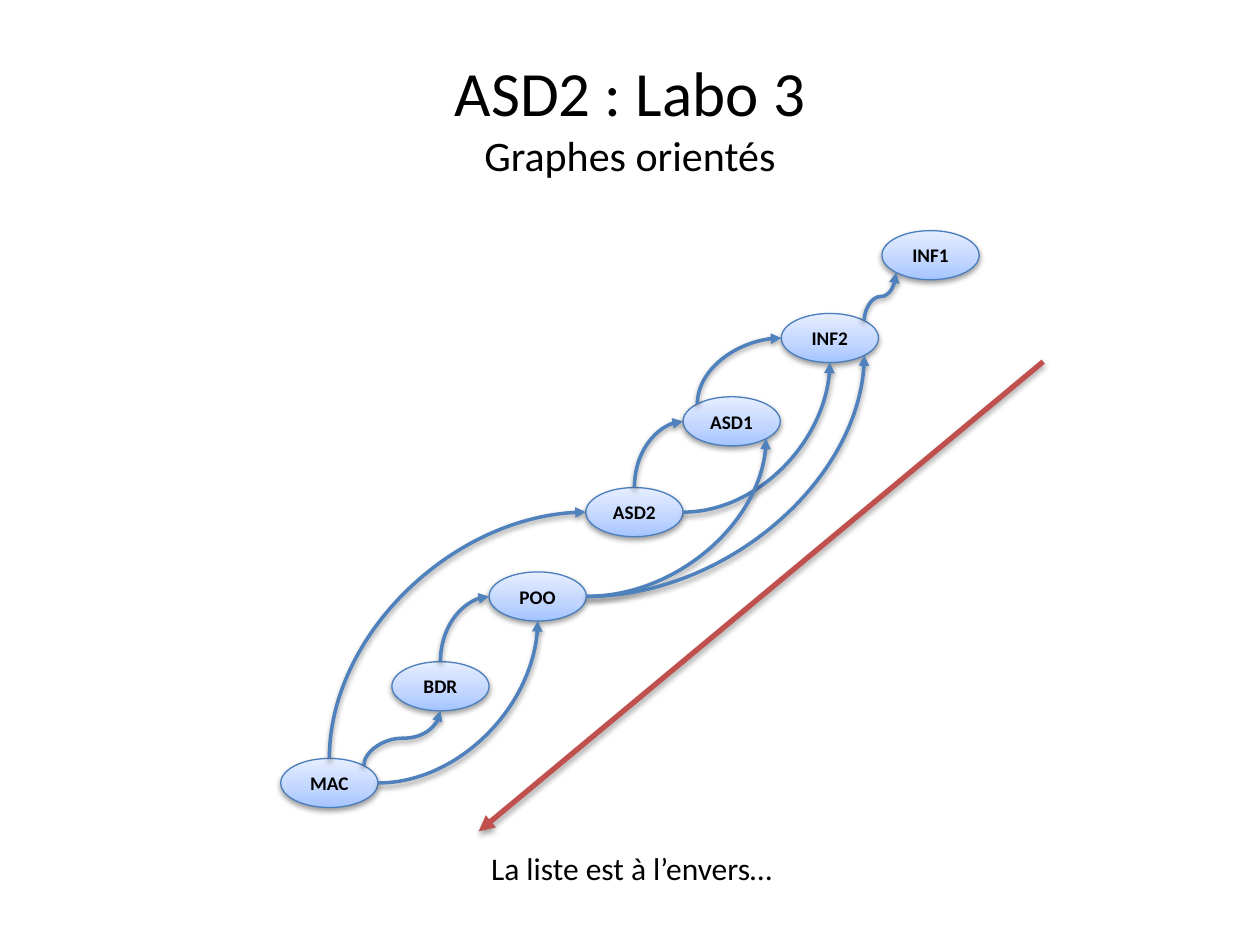
import math

import pptx
import pptx.dml.color
import pptx.enum.shapes
import pptx.enum.text
import pptx.oxml
import pptx.oxml.ns
import pptx.util
from lxml import etree

Cm, Pt = pptx.util.Cm, pptx.util.Pt
KIND = pptx.enum.shapes.MSO_CONNECTOR
qn = pptx.oxml.ns.qn

THEME = {
    "font": "Calibri", "text": "000000",
    "edge": "4F81BD", "rim": "4B7EBC", "order": "C0504D",
    "grad": [(0, "A4C4FF"), (35, "BFD4FF"), (100, "E6EEFF")],
    "title": 36, "sub": 24, "note": 18, "node": 11,
}

# Content: node corners in cm; edges as (from, site, to, site).
# Sites run counter-clockwise from the top of an ellipse in 45 degree steps.
TITLE = [("ASD2 : Labo 3", "title"), ("Graphes orientés", "sub")]
NOTE = "La liste est à l’envers…"
WIDE, HIGH = 1.96, 0.99
NODES = {
    "ASD1": (13.77, 8.0), "INF2": (15.75, 6.32), "ASD2": (11.81, 9.83),
    "BDR": (7.9, 13.34), "POO": (9.86, 11.53), "INF1": (17.78, 4.65),
    "MAC": (5.66, 15.29),
}
EDGES = [
    ("ASD1", 1, "INF2", 2), ("ASD2", 0, "ASD1", 2), ("ASD2", 6, "INF2", 4),
    ("BDR", 0, "POO", 2), ("INF2", 7, "INF1", 3), ("MAC", 0, "ASD2", 2),
    ("MAC", 7, "BDR", 4), ("MAC", 6, "POO", 4), ("POO", 6, "ASD1", 5),
    ("POO", 6, "INF2", 5),
]
ORDER = (21.03, 7.29, 9.65, 16.76)


def rgb(name):
    return pptx.dml.color.RGBColor.from_string(THEME[name])


def style(para, size=None, bold=None):
    font = para.font
    font.name, font.bold = THEME["font"], bold
    font.color.rgb = rgb("text")
    if size:
        font.size = Pt(THEME[size])


def add_xml(shape, body):
    ns = pptx.oxml.ns.nsdecls("a")
    shape.element.spPr.append(pptx.oxml.parse_xml(body.replace(">", f" {ns}>", 1)))


def shade(shape, alpha, dist):
    for old in shape.element.spPr.findall(qn("a:effectLst")):
        shape.element.spPr.remove(old)
    add_xml(shape, f'<a:effectLst><a:outerShdw blurRad="40000" dist="{dist}" '
            'dir="5400000" rotWithShape="0"><a:srgbClr val="000000">'
            f'<a:alpha val="{alpha}000"/></a:srgbClr></a:outerShdw></a:effectLst>')


def arrow(line, color, width, alpha, dist):
    line.line.color.rgb = rgb(color)
    line.line.width = Pt(width)
    etree.SubElement(line.element.spPr.find(qn("a:ln")), qn("a:tailEnd"), type="triangle")
    shade(line, alpha, dist)


def add_node(shapes, name):
    x, y = NODES[name]
    node = shapes.add_shape(pptx.enum.shapes.MSO_SHAPE.OVAL,
                            Cm(x), Cm(y), Cm(WIDE), Cm(HIGH))
    stops = "".join(f'<a:gs pos="{pos}000"><a:srgbClr val="{hue}"/></a:gs>'
                    for pos, hue in THEME["grad"])
    add_xml(node, f'<a:gradFill><a:gsLst>{stops}</a:gsLst>'
            '<a:lin ang="16200000" scaled="0"/></a:gradFill>')
    node.line.color.rgb = rgb("rim")
    node.line.width = Pt(0.75)
    shade(node, 38, 20000)
    frame = node.text_frame
    frame.margin_left = frame.margin_right = frame.margin_top = frame.margin_bottom = 0
    frame.vertical_anchor = pptx.enum.text.MSO_ANCHOR.MIDDLE
    para = frame.paragraphs[0]
    para.text = name
    para.alignment = pptx.enum.text.PP_ALIGN.CENTER
    style(para, "node", True)
    return node


def point(name, site):
    x, y = NODES[name]
    turn = math.radians(45 * site)
    return (x + WIDE / 2 * (1 - math.sin(turn)), y + HIGH / 2 * (1 - math.cos(turn)))


def add_edge(shapes, nodes, start, out, end, into):
    (x1, y1), (x2, y2) = point(start, out), point(end, into)
    edge = shapes.add_connector(KIND.CURVE, Cm(x1), Cm(y1), Cm(x2), Cm(y2))
    root = edge.element
    if out != 7:  # one bend; site 7 leaves and arrives upright, with two
        root.spPr.find(qn("a:prstGeom")).set("prst", "curvedConnector2")
    if out != 6:  # leaves upwards: quarter turn about the centre
        wide, high = y1 - y2, x2 - x1
        edge.left, edge.top = Cm((x1 + x2 - wide) / 2), Cm((y1 + y2 - high) / 2)
        edge.width, edge.height = Cm(wide), Cm(high)
        for key, val in (("rot", "5400000"), ("flipH", "1"), ("flipV", "1")):
            root.spPr.find(qn("a:xfrm")).set(key, val)
    glue = root.find(".//" + qn("p:cNvCxnSpPr"))
    for tag, name, site in (("a:stCxn", start, out), ("a:endCxn", end, into)):
        etree.SubElement(glue, qn(tag), id=str(nodes[name].shape_id), idx=str(site))
    arrow(edge, "edge", 2, 38, 20000)


def main():
    deck = pptx.Presentation()
    deck.slide_width, deck.slide_height = Cm(25.4), Cm(19.05)
    shapes = deck.slides.add_slide(deck.slide_layouts[6]).shapes

    # Title
    frame = shapes.add_textbox(Cm(1.27), Cm(0.76), Cm(22.86), Cm(3.18)).text_frame
    frame.word_wrap = True
    frame.vertical_anchor = pptx.enum.text.MSO_ANCHOR.MIDDLE
    para = frame.paragraphs[0]
    para.alignment = pptx.enum.text.PP_ALIGN.CENTER
    style(para)
    for i, (text, size) in enumerate(TITLE):
        if i:
            para.add_line_break()
        run = para.add_run()
        run.text, run.font.size = text, Pt(THEME[size])

    # Note
    frame = shapes.add_textbox(Cm(9.65), Cm(16.99), Cm(6.27), Cm(1.02)).text_frame
    frame.word_wrap = False
    frame.auto_size = pptx.enum.text.MSO_AUTO_SIZE.SHAPE_TO_FIT_TEXT
    frame.text = NOTE
    style(frame.paragraphs[0], "note")

    # Graph
    graph = shapes.add_group_shape().shapes
    nodes = {name: add_node(graph, name) for name in NODES}
    for edge in EDGES:
        add_edge(graph, nodes, *edge)

    # Reading order
    arrow(shapes.add_connector(KIND.STRAIGHT, *map(Cm, ORDER)), "order", 3, 35, 23000)
    deck.save("out.pptx")


if __name__ == "__main__":
    main()
